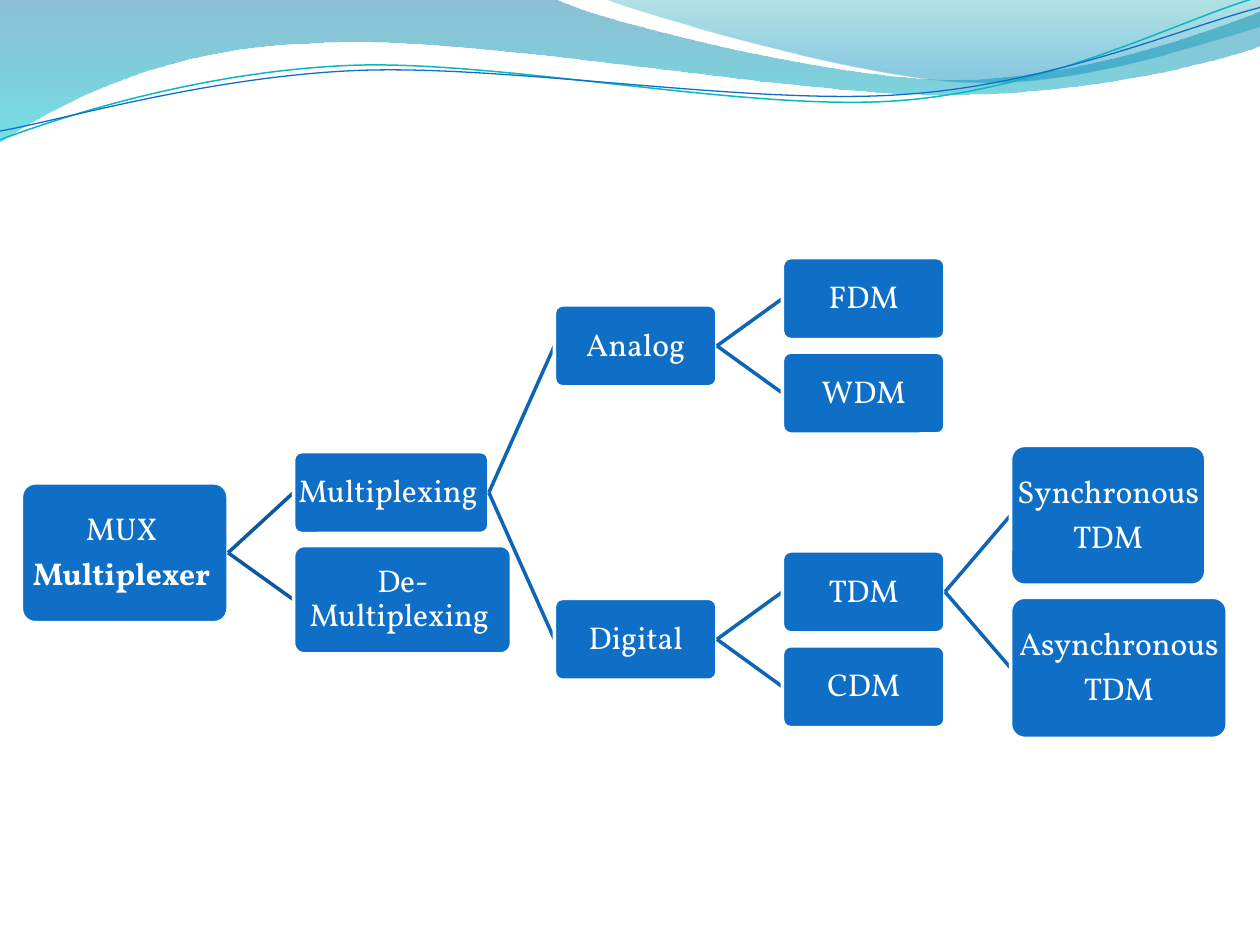
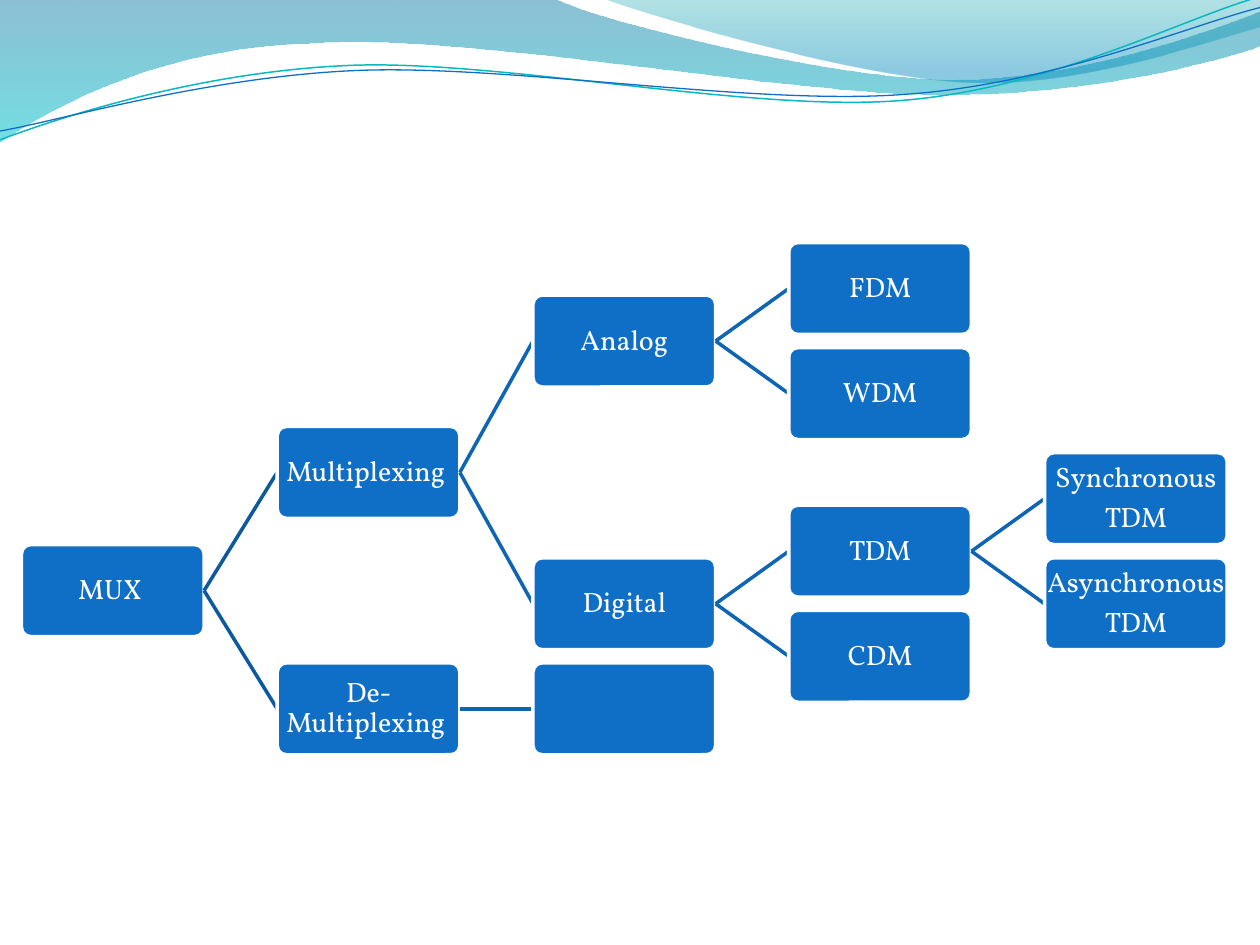
import dataclasses
import itertools

import lxml.etree
import pptx
import pptx.dml.color
import pptx.enum.shapes
import pptx.enum.text
import pptx.oxml.ns
import pptx.util

Inches = pptx.util.Inches
Pt = pptx.util.Pt
qn = pptx.oxml.ns.qn
RGBColor = pptx.dml.color.RGBColor

BLUE = RGBColor(0x0F, 0x6F, 0xC6)
WHITE = RGBColor(0xFF, 0xFF, 0xFF)
ROOT_LINK = RGBColor(0x0C, 0x59, 0x9F)
LINK = RGBColor(0x0E, 0x65, 0xB4)
TEAL = RGBColor(0x0A, 0xB8, 0xBF)
DEEP_BLUE = RGBColor(0x00, 0x74, 0xA1)
AQUA = RGBColor(0x00, 0xC6, 0xCF)
SEA = RGBColor(0x00, 0xA1, 0xA9)
SKY = RGBColor(0x00, 0x8B, 0xBF)
FONT = "Vollkorn"
BOLD_LINES = {"Multiplexer "}

BANDS = [
    {
        "start": (0, 0),
        "segments": [
            (4.4, -0.01),
            (4.76, 0.17, 6.64, 0.63, 7.58, 0.63),
            (8.53, 0.63, 9.58, 0.26, 10, 0.09),
            (10.01, 0.36),
            (9.83, 0.44, 8.7, 0.76, 7.46, 0.75),
            (6.22, 0.75, 3.82, 0.28, 2.57, 0.34),
            (1.29, 0.36, 0.46, 0.83, -0.01, 1.13),
        ],
        "stops": [(0, DEEP_BLUE, 45), (1, AQUA, 55)],
    },
    {
        "start": (4.79, -0.01),
        "segments": [
            (5.09, 0.11, 6.82, 0.62, 7.69, 0.65),
            (8.56, 0.69, 9.61, 0.32, 10, 0.21),
            (10, 0),
        ],
        "stops": [(0, SEA, 30), (0.8, SKY, 45)],
    },
]
WAVES = [
    {
        "start": (0, 1.11),
        "segments": [
            (0.48, 0.93, 1.58, 0.57, 2.77, 0.52),
            (3.95, 0.47, 5.93, 0.89, 7.13, 0.8),
            (8.33, 0.71, 9.38, 0.15, 9.98, -0.02),
        ],
        "color": TEAL,
        "width": 0.85,
    },
    {
        "start": (0, 1.04),
        "segments": [
            (0.47, 0.96, 1.64, 0.61, 2.83, 0.56),
            (4.03, 0.51, 5.97, 0.84, 7.17, 0.75),
            (8.36, 0.67, 9.41, 0.21, 10, 0.06),
        ],
        "color": BLUE,
        "width": 0.75,
    },
]


@dataclasses.dataclass
class Node:
    lines: tuple
    children: tuple = ()
    middle: float = 0
    size: tuple = ()


def leaf(middle, *lines, size=()):
    return Node(lines, middle=middle, size=size)


def branch(lines, *children, size=()):
    return Node(lines, children, size=size)


SYNC = ("Synchronous", "TDM")
ASYNC = ("Asynchronous", "TDM")
DEMUX = "De-Multiplexing "

DETAILED_TREE = branch(
    ("MUX ", "Multiplexer "),
    branch(
        ("Multiplexing ",),
        branch(("Analog",), leaf(2.37, "FDM"), leaf(3.12, "WDM")),
        branch(
            ("Digital",),
            branch(
                ("TDM",),
                leaf(4.09, *SYNC, size=(1.55, 1.11)),
                leaf(5.3, *ASYNC, size=(1.72, 1.12)),
            ),
            leaf(5.45, "CDM"),
        ),
        size=(1.55, 0.65),
    ),
    leaf(4.76, DEMUX, size=(1.73, 0.86)),
    size=(1.64, 1.11),
)

TOP, HALF_ROW = 2.29, 0.417


def row(number):
    return TOP + number * HALF_ROW


EVEN_TREE = branch(
    ("MUX ",),
    branch(
        ("Multiplexing ",),
        branch(("Analog",), leaf(row(0), "FDM"), leaf(row(2), "WDM")),
        branch(
            ("Digital",),
            branch(("TDM",), leaf(row(4), *SYNC), leaf(row(6), *ASYNC)),
            leaf(row(7), "CDM"),
        ),
    ),
    branch((DEMUX,), leaf(row(8))),
)

SLIDES = [
    {"tree": DETAILED_TREE, "box_size": (1.29, 0.65), "gap": 0.52, "points": 18},
    {"tree": EVEN_TREE, "box_size": (1.45, 0.73), "gap": 0.58, "points": 16},
]
LEFT = 0.17


def apply(target, formats):
    for name, value in formats.items():
        setattr(target, name, value)


def draw_curve(page, start, segments, close):
    points = [
        (Inches(x), Inches(y))
        for segment in segments
        for x, y in zip(segment[::2], segment[1::2])
    ]
    builder = page.shapes.build_freeform(Inches(start[0]), Inches(start[1]))
    builder.add_line_segments(points, close=close)
    shape = builder.convert_to_shape()
    shape.shadow.inherit = False
    outline = next(shape._element.iter(qn("a:path")))
    steps = iter(outline.findall(qn("a:lnTo")))
    for segment in segments:
        first, *others = itertools.islice(steps, len(segment) // 2)
        if others:
            first.tag = qn("a:cubicBezTo")
        for other in others:
            first.append(other[0])
            outline.remove(other)
    return shape


def draw_header(page, layout):
    shapes = []
    for band in BANDS:
        shape = draw_curve(page, band["start"], band["segments"], True)
        shape.line.fill.background()
        shape.fill.gradient()
        shape.fill.gradient_angle = 270
        for stop, (position, color, opacity) in zip(shape.fill.gradient_stops, band["stops"]):
            stop.position = position
            stop.color.rgb = color
        colors = shape._element.spPr.iter(qn("a:srgbClr"))
        for element, (position, color, opacity) in zip(colors, band["stops"]):
            lxml.etree.SubElement(element, qn("a:alpha"), val=str(opacity * 1000))
        shapes.append(shape)
    for wave in WAVES:
        shape = draw_curve(page, wave["start"], wave["segments"], False)
        shape.fill.background()
        shape.line.color.rgb = wave["color"]
        shape.line.width = Pt(wave["width"])
        shapes.append(shape)
    for shape in shapes:
        layout.shapes._spTree.append(shape._element)


def place(node, box_size):
    node.size = node.size or box_size
    for child in node.children:
        place(child, box_size)
    if node.children:
        first, last = node.children[0], node.children[-1]
        top = first.middle - first.size[1] / 2
        bottom = last.middle + last.size[1] / 2
        node.middle = (top + bottom) / 2


def draw_box(page, node, left, points):
    width, height = node.size
    box = page.shapes.add_shape(
        pptx.enum.shapes.MSO_SHAPE.ROUNDED_RECTANGLE,
        Inches(left), Inches(node.middle - height / 2), Inches(width), Inches(height),
    )
    box.adjustments[0] = 0.1
    box.shadow.inherit = False
    box.fill.solid()
    box.fill.fore_color.rgb = BLUE
    box.line.color.rgb = WHITE
    box.line.width = Pt(2)
    frame = box.text_frame
    margins = dict.fromkeys(
        ("margin_left", "margin_top", "margin_right", "margin_bottom"), Inches(0.01)
    )
    apply(frame, margins)
    apply(frame, {
        "vertical_anchor": pptx.enum.text.MSO_ANCHOR.MIDDLE,
        "word_wrap": DEMUX in node.lines,
    })
    for index, line in enumerate(node.lines):
        para = frame.add_paragraph() if index else frame.paragraphs[0]
        apply(para, {
            "alignment": pptx.enum.text.PP_ALIGN.CENTER,
            "line_spacing": 0.9,
            "space_after": Pt(0.35 * points),
        })
        span = para.add_run()
        span.text = line
        apply(span.font, {"name": FONT, "size": Pt(points), "bold": line in BOLD_LINES})
        span.font.color.rgb = WHITE


def draw_link(page, start, end, color):
    link = page.shapes.add_connector(
        pptx.enum.shapes.MSO_CONNECTOR.STRAIGHT, *map(Inches, start + end)
    )
    link.line.color.rgb = color
    link.line.width = Pt(2)
    lxml.etree.SubElement(link._element.spPr, qn("a:effectLst"))


def draw_tree(page, node, left, gap, points, color=ROOT_LINK):
    draw_box(page, node, left, points)
    right = left + node.size[0]
    for child in node.children:
        draw_link(page, (right, node.middle), (right + gap, child.middle), color)
        draw_tree(page, child, right + gap, gap, points, LINK)


deck = pptx.Presentation()
apply(deck, {"slide_width": Inches(10), "slide_height": Inches(7.5)})
blank = deck.slide_layouts[6]
pages = [deck.slides.add_slide(blank) for slide in SLIDES]
draw_header(pages[0], blank)
for page, slide in zip(pages, SLIDES):
    place(slide["tree"], slide["box_size"])
    draw_tree(page, slide["tree"], LEFT, slide["gap"], slide["points"])
deck.save("out.pptx")
